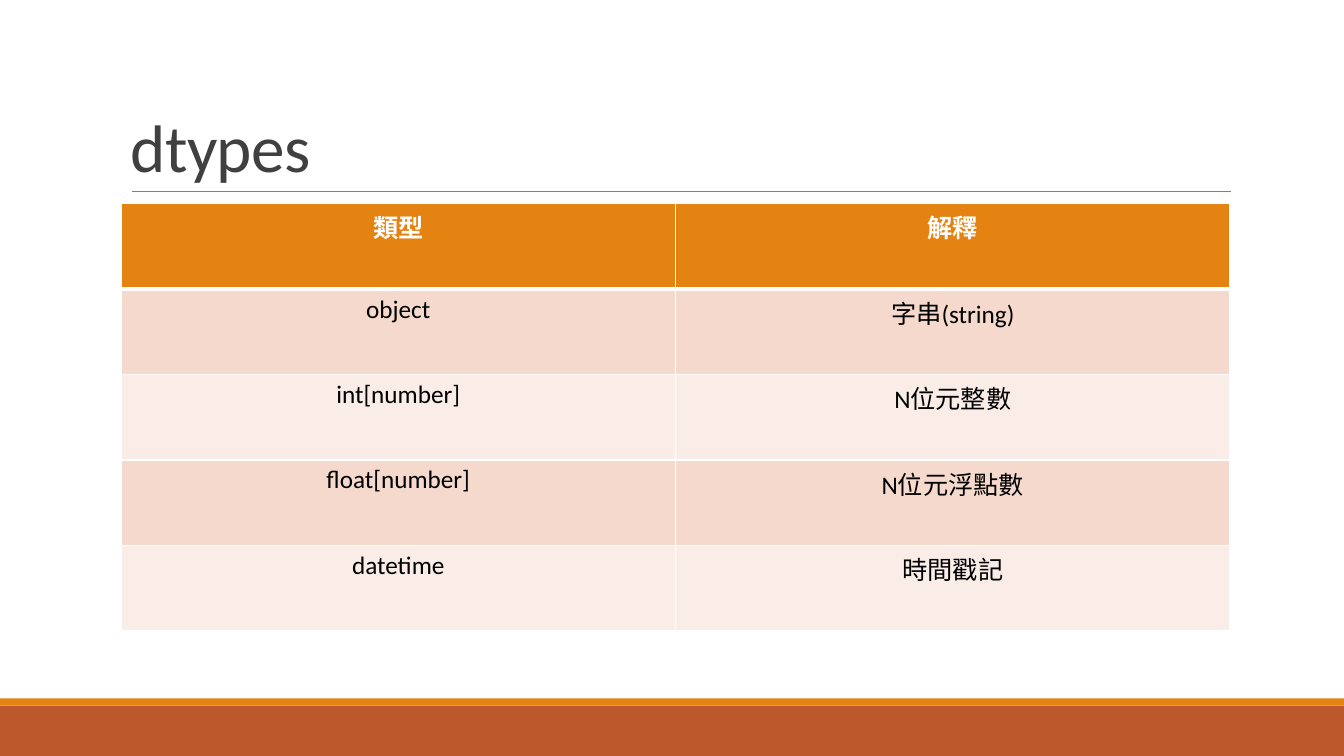
from lxml.etree import SubElement
from pptx import Presentation
from pptx.dml.color import RGBColor
from pptx.enum.shapes import MSO_CONNECTOR, MSO_SHAPE
from pptx.enum.text import MSO_ANCHOR, PP_ALIGN
from pptx.oxml import parse_xml
from pptx.oxml.ns import nsdecls, qn
from pptx.util import Inches, Pt

WHITE = RGBColor(0xFF, 0xFF, 0xFF)
BLACK = RGBColor(0x00, 0x00, 0x00)
ORANGE = RGBColor(0xE4, 0x83, 0x12)
RUST = RGBColor(0xBD, 0x58, 0x2C)
DARK_GREY = RGBColor(0x40, 0x40, 0x40)
RULE_GREY = RGBColor(0x80, 0x80, 0x80)
BANDS = (RGBColor(0xFA, 0xED, 0xE7), RGBColor(0xF5, 0xD9, 0xCC))

FONT = "Calibri"
WIDTH, HEIGHT = 13.33, 7.5
LEFT, CONTENT_WIDTH = 1.2, 11
TABLE_TOP, TABLE_HEIGHT = 2.02, 4.24

DTYPES = (
    ("類型", "解釋"),
    ("object", "字串(string)"),
    ("int[number]", "N位元整數"),
    ("float[number]", "N位元浮點數"),
    ("datetime", "時間戳記"),
)


def set_font(paragraph, size, color, bold=False):
    font = paragraph.font
    font.name, font.size, font.bold = FONT, Pt(size), bold
    font.color.rgb = color


def add_band(slide, top, height, color):
    shape = slide.shapes.add_shape(
        MSO_SHAPE.RECTANGLE, 0, Inches(top), Inches(WIDTH), Inches(height))
    shape.shadow.inherit = False
    shape.fill.solid()
    shape.fill.fore_color.rgb = color
    shape.line.fill.background()


def add_rule(slide, left, right, y):
    rule = slide.shapes.add_connector(
        MSO_CONNECTOR.STRAIGHT, Inches(left), Inches(y), Inches(right), Inches(y))
    rule.line.color.rgb = RULE_GREY
    rule.line.width = Pt(0.5)
    SubElement(rule._element.spPr, qn("a:effectLst"))


def add_title(slide, text):
    box = slide.shapes.add_textbox(
        Inches(LEFT), Inches(0.31), Inches(CONTENT_WIDTH), Inches(1.59))
    frame = box.text_frame
    frame.word_wrap = True
    frame.vertical_anchor = MSO_ANCHOR.BOTTOM
    paragraph = frame.paragraphs[0]
    paragraph.line_spacing = 0.85
    set_font(paragraph, 48, DARK_GREY)
    run = paragraph.add_run()
    run.text = text
    run._r.get_or_add_rPr().set("spc", "-50")


def set_borders(cell, top, bottom):
    widths = {"lnL": 1, "lnR": 1, "lnT": top, "lnB": bottom}
    properties = cell._tc.get_or_add_tcPr()
    for position, (side, width) in enumerate(widths.items()):
        properties.insert(position, parse_xml(
            f'<a:{side} {nsdecls("a")} w="{Pt(width)}"><a:solidFill>'
            f'<a:srgbClr val="{WHITE}"/></a:solidFill></a:{side}>'))


def add_table(slide, rows):
    table = slide.shapes.add_table(
        len(rows), len(rows[0]), Inches(LEFT), Inches(TABLE_TOP),
        Inches(CONTENT_WIDTH), Inches(TABLE_HEIGHT)).table
    for row, texts in enumerate(rows):
        header = row == 0
        for column, text in enumerate(texts):
            cell = table.cell(row, column)
            cell.text = text
            cell.fill.solid()
            cell.fill.fore_color.rgb = ORANGE if header else BANDS[row % 2]
            paragraph = cell.text_frame.paragraphs[0]
            paragraph.alignment = PP_ALIGN.CENTER
            set_font(paragraph, 18, WHITE if header else BLACK, header)
            # A thicker line parts the header from the body
            set_borders(cell, 3 if row == 1 else 1, 3 if header else 1)


def main():
    presentation = Presentation()
    presentation.slide_width = Inches(WIDTH)
    presentation.slide_height = Inches(HEIGHT)
    slide = presentation.slides.add_slide(presentation.slide_layouts[6])

    # Footer bands
    add_band(slide, 7, 0.5, RUST)
    add_band(slide, 6.93, 0.07, ORANGE)

    # Title and its rule
    add_rule(slide, 1.31, 12.21, 1.9)
    add_title(slide, "dtypes")

    # Table of data types
    add_table(slide, DTYPES)

    presentation.save("out.pptx")


if __name__ == "__main__":
    main()
